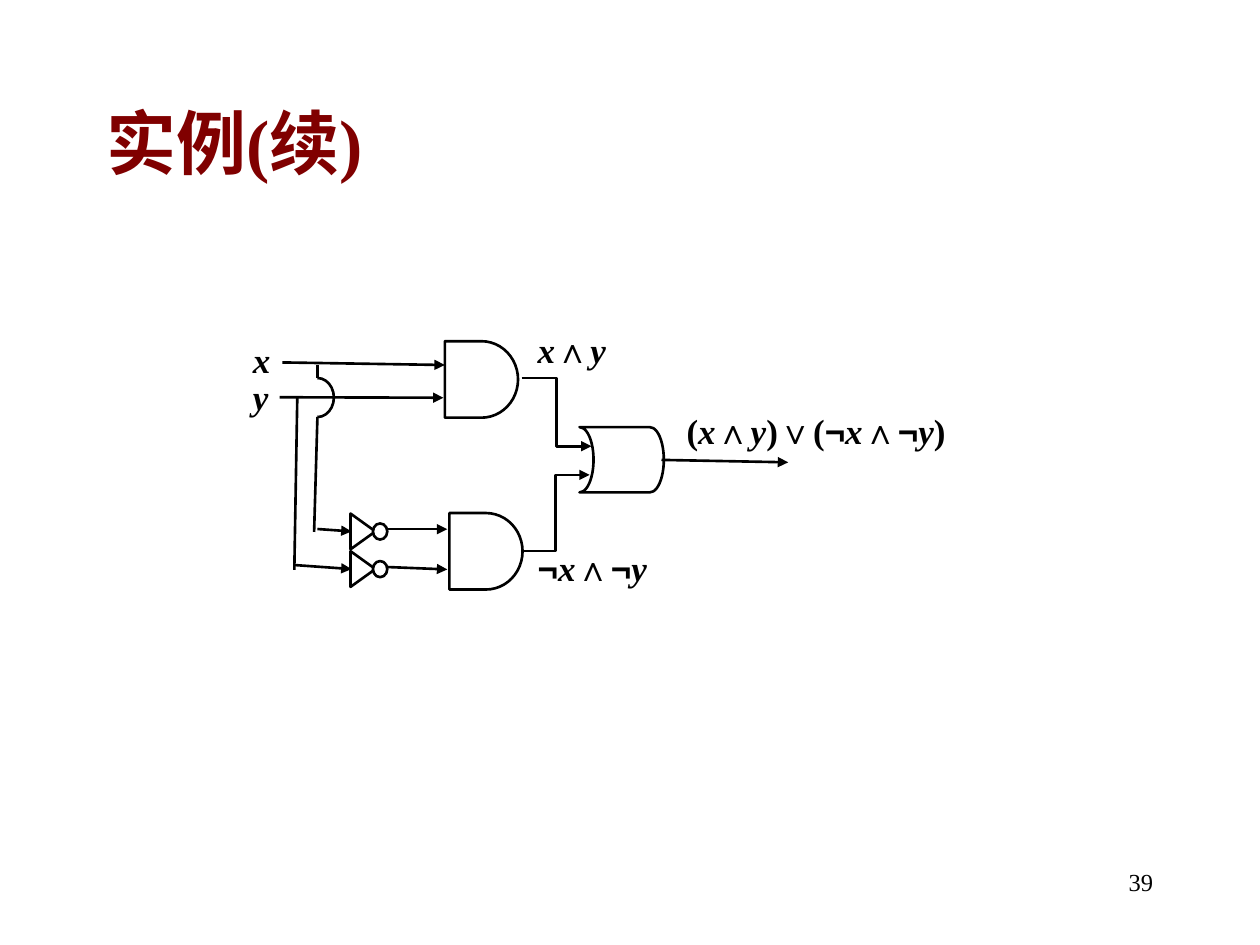
from itertools import groupby

from lxml import etree
from pptx import Presentation
from pptx.dml.color import RGBColor
from pptx.enum.shapes import MSO_CONNECTOR, MSO_SHAPE
from pptx.enum.text import MSO_ANCHOR, PP_ALIGN
from pptx.oxml.ns import qn
from pptx.util import Pt

STRAIGHT, ELBOW = MSO_CONNECTOR.STRAIGHT, MSO_CONNECTOR.ELBOW
AND_GATE = MSO_SHAPE.FLOWCHART_DELAY
OR_GATE = MSO_SHAPE.FLOWCHART_STORED_DATA
TRIANGLE, CIRCLE, ARC = MSO_SHAPE.ISOSCELES_TRIANGLE, MSO_SHAPE.OVAL, MSO_SHAPE.ARC
LEFT, RIGHT, JUSTIFY = PP_ALIGN.LEFT, PP_ALIGN.RIGHT, PP_ALIGN.JUSTIFY
TOP, MIDDLE = MSO_ANCHOR.TOP, MSO_ANCHOR.MIDDLE

SERIF, SANS = "Times New Roman", "Arial"
BLACK, WHITE, MAROON = "000000", "FFFFFF", "800000"
LINE_WIDTH = 1.5

# text, (left, top, width, height)
FORMULAS = [
    ("x", (137.5, 190, 28, 29)),
    ("y", (137.5, 211, 28, 36)),
    ("x∧y", (300.2, 184.3, 57, 34.5)),
    ("¬x∧¬y", (300.2, 308.9, 90, 39.6)),
    ("(x∧y)∨(¬x∧¬y)", (385.2, 230.4, 178, 39.6)),
]
# connector kind, from, to
ARROWS = [
    (STRAIGHT, (161.3, 207.1), (254.2, 208.6)),  # x to upper AND
    (STRAIGHT, (159.8, 227), (253.4, 227.3)),    # y to upper AND
    (STRAIGHT, (181.4, 302.3), (200.9, 303.7)),  # x to its inverter
    (STRAIGHT, (168.5, 322.9), (200.9, 325.2)),  # y to its inverter
    (STRAIGHT, (221, 302.4), (255.6, 302.4)),    # ¬x to lower AND
    (STRAIGHT, (221, 324), (255.6, 325.4)),      # ¬y to lower AND
    (ELBOW, (298.1, 216.1), (338, 255)),
    (ELBOW, (298.1, 314.8), (337, 271.4)),
    (STRAIGHT, (378, 262.8), (450.4, 264.2)),
]
BRANCHES = [
    ((181.4, 216), (181.4, 208.6)),    # x above the hop
    ((181.4, 238.3), (179.5, 304)),    # x below the hop
    ((169.9, 227), (168.2, 325.6)),    # y
]
AND_GATES = [(254.2, 195), (256.8, 293.2)]
AND_SIZE = (41.8, 43.7)
OR_BOX = (331.2, 244.1, 48.2, 37.3)
INVERTER_CENTERS = [(207.4, 303.7), (207.4, 325.2)]
INVERTER_SIZE = (20.4, 14.2)  # before the quarter turn
BUBBLE_SIZE = (8.2, 9.2)
HOP_BOX = (172, 216, 18.8, 22.3)


def color(hex_code):
    return RGBColor.from_string(hex_code)


def pts(values):
    return [Pt(value) for value in values]


def add_text(slide, box, align, anchor=TOP):
    frame = slide.shapes.add_textbox(*pts(box)).text_frame
    frame.word_wrap = True
    frame.vertical_anchor = anchor
    frame.paragraphs[0].alignment = align
    return frame.paragraphs[0]


def set_font(font, size, hex_code=BLACK, bold=False):
    font.name, font.size, font.bold = SERIF, Pt(size), bold
    font.color.rgb = color(hex_code)


def add_formula(slide, text, box):
    """Set variables in italics and the negation sign in the sans font."""
    paragraph = add_text(slide, box, JUSTIFY)
    set_font(paragraph.font, 20, bold=True)
    for (variable, negation), chars in groupby(text, lambda c: (c in "xy", c == "¬")):
        run = paragraph.add_run()
        run.text = "".join(chars)
        set_font(run.font, 20, bold=True)
        run.font.italic = variable
        if negation:
            run.font.name = SANS


def set_line(line):
    line.color.rgb = color(BLACK)
    line.width = Pt(LINE_WIDTH)


def add_wire(slide, kind, start, end, arrow=False):
    wire = slide.shapes.add_connector(kind, *pts(start + end))
    set_line(wire.line)
    if arrow:
        etree.SubElement(wire.line._get_or_add_ln(), qn("a:tailEnd"), type="triangle")
    etree.SubElement(wire._element.spPr, qn("a:effectLst"))


def add_part(slide, kind, box):
    part = slide.shapes.add_shape(kind, *pts(box))
    part.shadow.inherit = False
    part.fill.solid()
    part.fill.fore_color.rgb = color(WHITE)
    set_line(part.line)
    return part


def add_inverter(slide, center_x, center_y):
    length, depth = INVERTER_SIZE
    box = (center_x - length / 2, center_y - depth / 2, length, depth)
    add_part(slide, TRIANGLE, box).rotation = 90
    width, height = BUBBLE_SIZE
    add_part(slide, CIRCLE, (center_x + depth / 2 - 1.4, center_y - height / 2, width, height))


def main():
    prs = Presentation()
    prs.slide_width, prs.slide_height = Pt(720), Pt(540)
    slide = prs.slides.add_slide(prs.slide_layouts[6])

    title = add_text(slide, (54, 48, 612, 66), LEFT, MIDDLE)
    title.text = "实例(续)"
    set_font(title.font, 40, MAROON, bold=True)
    page_number = add_text(slide, (516, 492, 150, 36), RIGHT)
    page_number.text = "39"
    set_font(page_number.font, 14)

    for text, box in FORMULAS:
        add_formula(slide, text, box)

    or_gate = add_part(slide, OR_GATE, OR_BOX)
    or_gate._element.spPr.get_or_add_xfrm().set("flipH", "1")
    for kind, start, end in ARROWS:
        add_wire(slide, kind, start, end, arrow=True)
    for corner in AND_GATES:
        add_part(slide, AND_GATE, corner + AND_SIZE)
    for center in INVERTER_CENTERS:
        add_inverter(slide, *center)

    for start, end in BRANCHES:
        add_wire(slide, STRAIGHT, start, end)
    hop = add_part(slide, ARC, HOP_BOX)
    hop.fill.background()
    hop.adjustments[0], hop.adjustments[1] = 162, 54  # top round to bottom

    prs.save("out.pptx")


if __name__ == "__main__":
    main()
